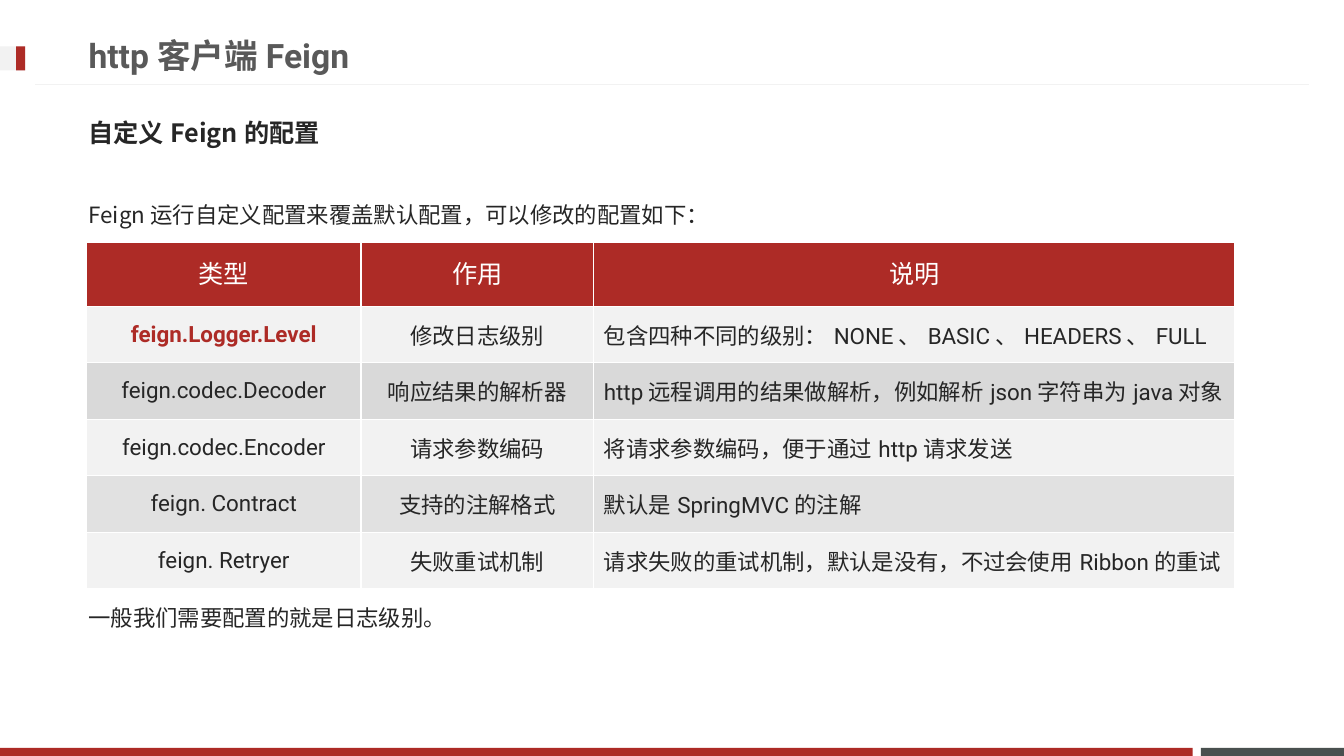
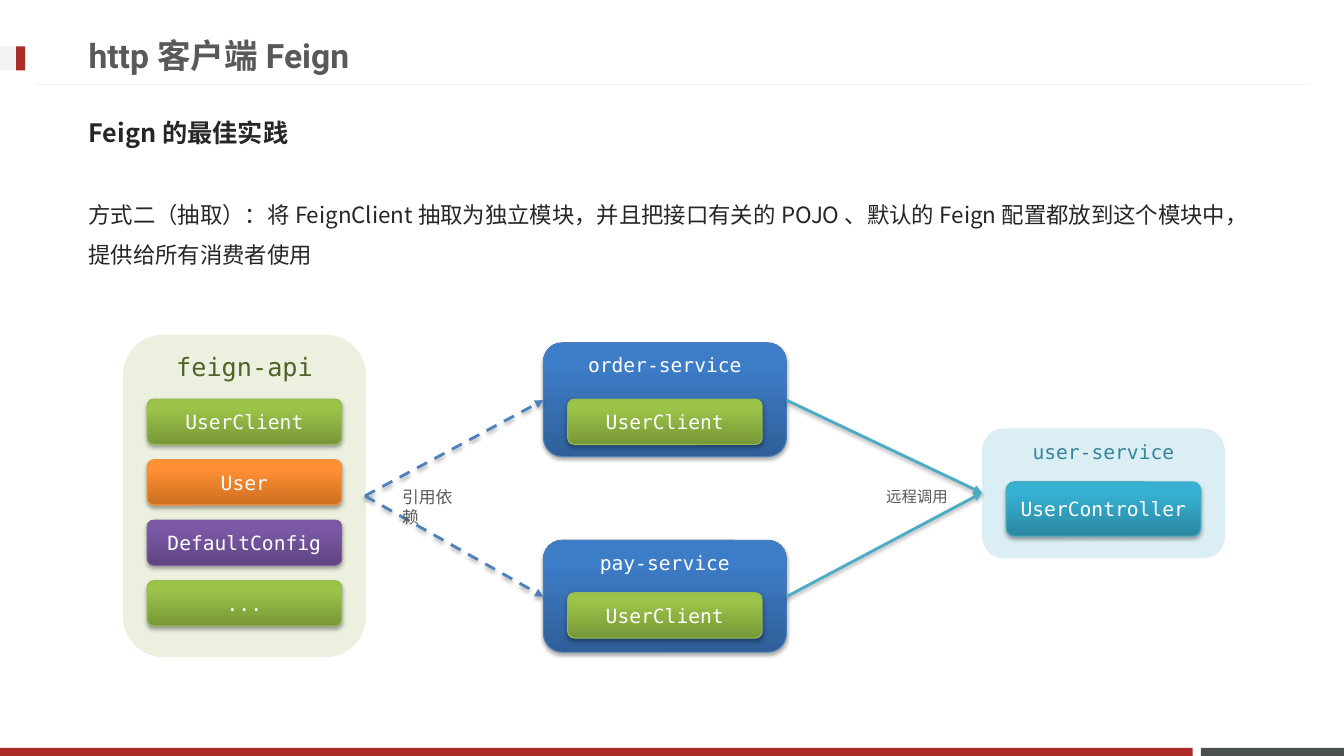
import pptx
import pptx.util
import pptx.dml.color
import pptx.enum.dml
import pptx.enum.lang
import pptx.enum.shapes
import pptx.enum.text
import pptx.oxml
import pptx.oxml.ns
import lxml.etree

Inches = pptx.util.Inches
Pt = pptx.util.Pt
qn = pptx.oxml.ns.qn
RGB = pptx.dml.color.RGBColor.from_string
ALIGN = pptx.enum.text.PP_ALIGN
ANCHOR = pptx.enum.text.MSO_ANCHOR
SHAPE = pptx.enum.shapes.MSO_SHAPE
STRAIGHT = pptx.enum.shapes.MSO_CONNECTOR.STRAIGHT


class Theme:
    red, slate, pale, white = "AD2B26", "49504F", "F2F2F2", "FFFFFF"
    heading, ink = "595959", "262626"
    band, soft_band = "D9D9D9", "E1E1E1"
    green = ("779737", "9BC348", "98B955")
    purple = ("5F4480", "7B58A6", "7D60A0")
    orange = ("CC6E20", "FF9034", "F69240")
    blue = ("2F5F99", "3D7CC7", "4B7EBC")
    teal = ("2A88A2", "37B1D2", "46AAC5")
    mint, mint_ink = "EBF1DE", "4F6228"
    ice, ice_ink = "DBEEF4", "31859C"
    depends, calls = "4F81BD", "4BACC6"
    latin, cjk, mono = "Roboto", "Noto Sans CJK JP", "DejaVu Sans Mono"
    title, subtitle, body, module, code = 24, 18, 16, 18, 14


def write(frame, text, size, font, color, bold=False, align=ALIGN.LEFT, anchor=ANCHOR.MIDDLE):
    frame.text = text
    frame.word_wrap = True
    frame.vertical_anchor = anchor
    paragraph = frame.paragraphs[0]
    paragraph.alignment = align
    run = paragraph.runs[0]
    run.font.size = Pt(size)
    run.font.name = font
    run.font.bold = bold
    run.font.color.rgb = RGB(color)
    run.font.language_id = pptx.enum.lang.MSO_LANGUAGE_ID.SIMPLIFIED_CHINESE
    east_asian = lxml.etree.Element(qn("a:ea"), typeface=Theme.cjk)
    run.font._element.find(qn("a:latin")).addnext(east_asian)
    return paragraph


def cast_shadow(item):
    properties = item._element.spPr
    effects = properties.find(qn("a:effectLst"))
    if effects is None:
        effects = lxml.etree.SubElement(properties, qn("a:effectLst"))
    shadow = lxml.etree.SubElement(effects, qn("a:outerShdw"), blurRad="40000", dist="22000",
                                   dir="5400000", rotWithShape="0")
    black = lxml.etree.SubElement(shadow, qn("a:srgbClr"), val="000000")
    lxml.etree.SubElement(black, qn("a:alpha"), val="35000")


deck = pptx.Presentation()
deck.slide_width = Inches(13.33)
deck.slide_height = Inches(7.5)

bands = [
    (11.91, 7.42, 1.42, 0.08, Theme.slate),
    (0, 7.42, 11.83, 0.08, Theme.red),
    (0, 0.46, 0.25, 0.24, Theme.pale),
    (0.16, 0.46, 0.09, 0.24, Theme.red),
]
pages = [
    ("自定义Feign的配置", [
        (1.81, "Feign运行自定义配置来覆盖默认配置，可以修改的配置如下："),
        (5.81, "一般我们需要配置的就是日志级别。"),
    ]),
    ("Feign的最佳实践", [
        (1.81, "方式二（抽取）：将FeignClient抽取为独立模块，并且把接口有关的POJO、"
               "默认的Feign配置都放到这个模块中，提供给所有消费者使用"),
    ]),
]

slides = []
for subtitle, statements in pages:
    slide = deck.slides.add_slide(deck.slide_layouts[6])
    slides.append(slide)
    for left, top, width, height, color in bands:
        band = slide.shapes.add_shape(SHAPE.RECTANGLE, Inches(left), Inches(top), Inches(width), Inches(height))
        band.shadow.inherit = False
        band.fill.solid()
        band.fill.fore_color.rgb = RGB(color)
        band.line.fill.background()
    rule = slide.shapes.add_connector(STRAIGHT, Inches(0.35), Inches(0.84), Inches(12.98), Inches(0.84))
    rule.line.color.rgb = RGB(Theme.pale)
    rule.line.width = Pt(0.75)
    lxml.etree.SubElement(rule._element.spPr, qn("a:effectLst"))

    heading = slide.shapes.add_textbox(Inches(0.78), Inches(0.26), Inches(9.59), Inches(0.57))
    write(heading.text_frame, "http客户端Feign", Theme.title, Theme.latin, Theme.heading, bold=True)
    topic = slide.shapes.add_textbox(Inches(0.78), Inches(1.03), Inches(11.7), Inches(0.57))
    write(topic.text_frame, subtitle, Theme.subtitle, Theme.cjk, Theme.ink, bold=True).space_before = Pt(3.6)
    for top, text in statements:
        statement = slide.shapes.add_textbox(Inches(0.78), Inches(top), Inches(11.7), Inches(0.5))
        paragraph = write(statement.text_frame, text, Theme.body, Theme.cjk, Theme.ink, anchor=ANCHOR.TOP)
        paragraph.line_spacing = 1.5
        paragraph.space_before = Pt(3.2)

config_slide, practice_slide = slides

settings = [
    ("类型", "作用", "说明"),
    ("feign.Logger.Level", "修改日志级别", "包含四种不同的级别：NONE、BASIC、HEADERS、FULL"),
    ("feign.codec.Decoder", "响应结果的解析器", "http远程调用的结果做解析，例如解析json字符串为java对象"),
    ("feign.codec.Encoder", "请求参数编码", "将请求参数编码，便于通过http请求发送"),
    ("feign. Contract", "支持的注解格式", "默认是SpringMVC的注解"),
    ("feign. Retryer", "失败重试机制", "请求失败的重试机制，默认是没有，不过会使用Ribbon的重试"),
]
row_fills = [Theme.red, Theme.pale, Theme.band, Theme.pale, Theme.soft_band, Theme.pale]
settings_table = config_slide.shapes.add_table(
    len(settings), 3, Inches(0.86), Inches(2.4), Inches(11.39), Inches(3.44)).table
for column, width in zip(settings_table.columns, (2.72, 2.31, 6.36)):
    column.width = Inches(width)
for r, (setting, row_fill) in enumerate(zip(settings, row_fills)):
    is_header = r == 0
    settings_table.rows[r].height = Inches(0.64 if is_header else 0.56)
    for c, text in enumerate(setting):
        cell = settings_table.cell(r, c)
        cell.fill.solid()
        cell.fill.fore_color.rgb = RGB(row_fill)
        is_key = (r, c) == (1, 0)
        color = Theme.white if is_header else Theme.red if is_key else Theme.ink
        paragraph = write(cell.text_frame, text, Theme.subtitle if is_header else Theme.body,
                          Theme.latin, color, bold=is_key,
                          align=ALIGN.CENTER if is_header or c < 2 else ALIGN.LEFT)
        cell.vertical_anchor = ANCHOR.MIDDLE
        if is_header:
            paragraph.line_spacing = Pt(24)

module_width, chip_width, chip_height = 2.41, 1.93, 0.45
api_left, consumer_left, provider_left = 1.22, 5.39, 9.74
chip_inset = (module_width - chip_width) / 2
modules = [
    ("feign-api", api_left, 3.32, 3.2, Theme.mint, Theme.mint_ink, Theme.module),
    ("order-service", consumer_left, 3.4, 1.13, Theme.blue, Theme.white, Theme.code),
    ("pay-service", consumer_left, 5.36, 1.11, Theme.blue, Theme.white, Theme.code),
    ("user-service", provider_left, 4.25, 1.29, Theme.ice, Theme.ice_ink, Theme.code),
]
api_parts = [("UserClient", Theme.green), ("User", Theme.orange),
             ("DefaultConfig", Theme.purple), ("...", Theme.green)]
chips = [(name, api_left, 3.96 + 0.6 * i, chip_height, fill) for i, (name, fill) in enumerate(api_parts)]
chips += [
    ("UserClient", consumer_left, 3.96, chip_height, Theme.green),
    ("UserClient", consumer_left, 5.88, chip_height, Theme.green),
    ("UserController", provider_left, 4.78, 0.54, Theme.teal),
]
blocks = [(name, left, top, module_width, height, fill, ink, size, None, ANCHOR.TOP)
          for name, left, top, height, fill, ink, size in modules]
blocks += [(name, left + chip_inset, top, chip_width, height, fill, Theme.white, Theme.code, 0.15, ANCHOR.MIDDLE)
           for name, left, top, height, fill in chips]

for name, left, top, width, height, fill, ink, size, rounding, anchor in blocks:
    block = practice_slide.shapes.add_shape(
        SHAPE.ROUNDED_RECTANGLE, Inches(left), Inches(top), Inches(width), Inches(height))
    block.shadow.inherit = False
    if rounding:
        block.adjustments[0] = rounding
    if isinstance(fill, tuple):
        dark, light, edge = fill
        block.fill.gradient()
        block.fill.gradient_angle = 90
        for stop, color, position in zip(block.fill.gradient_stops, (dark, light), (0, 0.8)):
            stop.color.rgb = RGB(color)
            stop.position = position
        block.line.color.rgb = RGB(edge)
        block.line.width = Pt(0.75)
        cast_shadow(block)
    else:
        block.fill.solid()
        block.fill.fore_color.rgb = RGB(fill)
        block.line.fill.background()
    write(block.text_frame, name, size, Theme.mono, ink, align=ALIGN.CENTER, anchor=anchor)

api_port, provider_port = (3.62, 4.92), (provider_left, 4.89)
for port_y in (3.97, 5.92):
    for start, end, color, dashed in (
        (api_port, (consumer_left, port_y), Theme.depends, True),
        ((consumer_left + module_width, port_y), provider_port, Theme.calls, False),
    ):
        link = practice_slide.shapes.add_connector(STRAIGHT, *map(Inches, start + end))
        link.line.color.rgb = RGB(color)
        link.line.width = Pt(2)
        if dashed:
            link.line.dash_style = pptx.enum.dml.MSO_LINE.DASH
        lxml.etree.SubElement(link._element.spPr.find(qn("a:ln")), qn("a:tailEnd"), type="triangle")
        cast_shadow(link)

for text, left, width, size in (("引用依赖", 3.89, 0.86, 12), ("远程调用", 8.69, 0.85, 11)):
    relation = practice_slide.shapes.add_textbox(Inches(left), Inches(4.78), Inches(width), Inches(0.3))
    write(relation.text_frame, text, size, Theme.cjk, Theme.heading, anchor=ANCHOR.TOP)

deck.save("out.pptx")
